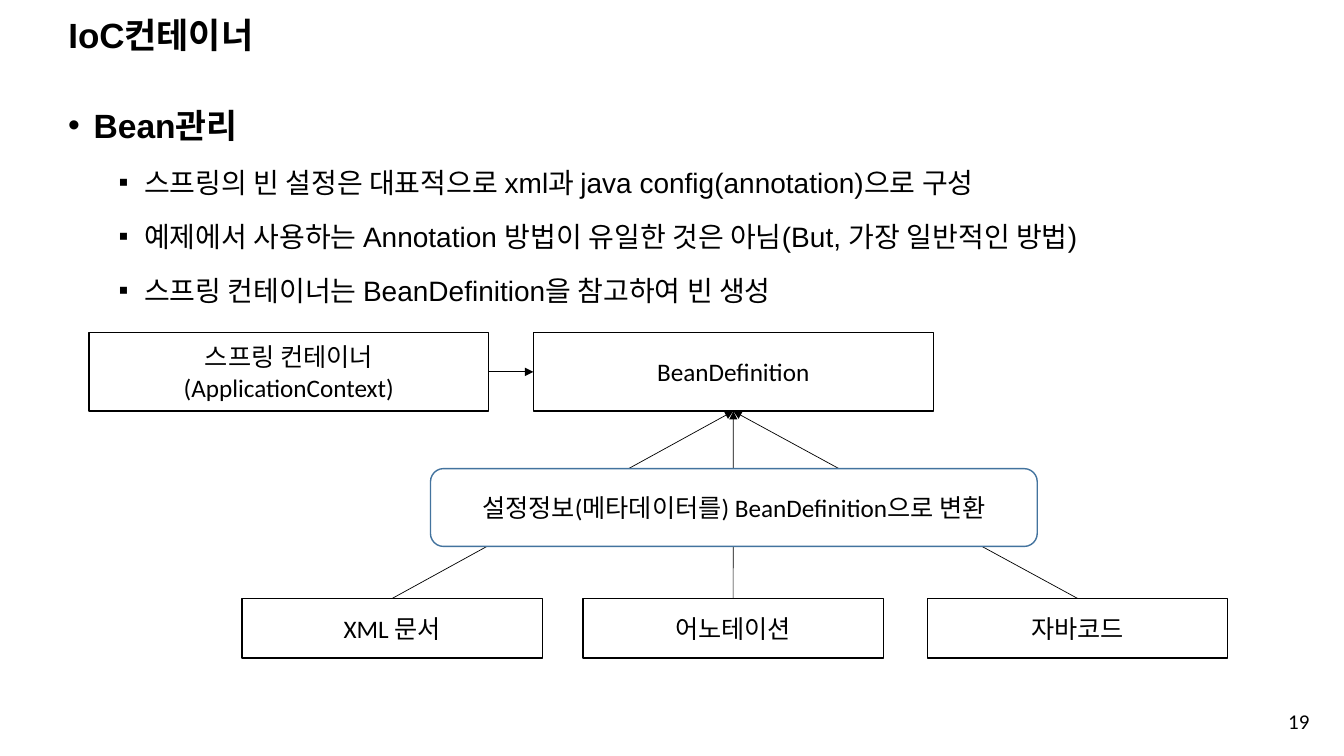
from lxml import etree
from pptx import Presentation
from pptx.dml.color import RGBColor
from pptx.enum.shapes import MSO_CONNECTOR, MSO_SHAPE
from pptx.enum.text import MSO_ANCHOR, PP_ALIGN
from pptx.oxml.ns import qn
from pptx.util import Cm, Pt

COLORS = {"ink": "000000", "paper": "FFFFFF", "accent": "43739E"}
HEADING_FONT, LABEL_FONT = "Arial", "Calibri"
RECT, ROUNDED = MSO_SHAPE.RECTANGLE, MSO_SHAPE.ROUNDED_RECTANGLE
STRAIGHT = MSO_CONNECTOR.STRAIGHT
MIDDLE = MSO_ANCHOR.MIDDLE
LEFT, CENTER, RIGHT = PP_ALIGN.LEFT, PP_ALIGN.CENTER, PP_ALIGN.RIGHT
TOP_SITE, LEFT_SITE, BOTTOM_SITE, RIGHT_SITE = range(4)


def color(name):
    """Return the named palette colour."""
    return RGBColor.from_string(COLORS[name])


def style_runs(paragraph, font, size, bold=False):
    """Format every run of a paragraph."""
    for run in paragraph.runs:
        run.font.name = font
        run.font.size = Pt(size)
        run.font.bold = bold
        run.font.color.rgb = color("ink")


def add_title(slide, box, text):
    """Place the slide title in its placeholder."""
    title = slide.shapes.title
    title.left, title.top, title.width, title.height = map(Cm, box)
    frame = title.text_frame
    frame.text = text
    frame.vertical_anchor = MIDDLE
    heading = frame.paragraphs[0]
    heading.alignment = LEFT
    heading.line_spacing = 0.9
    style_runs(heading, HEADING_FONT, 25, True)


def set_bullet(paragraph, symbol, margin):
    """Give a paragraph a hanging bullet."""
    properties = paragraph._p.get_or_add_pPr()
    properties.set("marL", str(Cm(margin)))
    properties.set("indent", str(-Cm(0.64)))
    etree.SubElement(properties, qn("a:buFont")).set("typeface", HEADING_FONT)
    etree.SubElement(properties, qn("a:buChar")).set("char", symbol)


def add_outline(slide, box, topic, points):
    """Place a bold topic with its bulleted points."""
    frame = slide.shapes.add_textbox(*map(Cm, box)).text_frame
    frame.word_wrap = True
    frame.text = "\n".join([topic, *points])
    for index, paragraph in enumerate(frame.paragraphs):
        is_point = index > 0
        set_bullet(paragraph, "▪" if is_point else "•", 1.91 if is_point else 0.64)
        paragraph.line_spacing = 1.4
        if is_point:
            paragraph.level = 1
            paragraph.space_before = Pt(5)
        style_runs(paragraph, HEADING_FONT, 20 if is_point else 24, not is_point)


def add_node(slide, box, text, kind=RECT, outline="ink"):
    """Draw one labelled diagram box."""
    node = slide.shapes.add_shape(kind, *map(Cm, box))
    node.shadow.inherit = False
    node.fill.solid()
    node.fill.fore_color.rgb = color("paper")
    node.line.color.rgb = color(outline)
    node.line.width = Pt(1)
    frame = node.text_frame
    frame.word_wrap = True
    frame.vertical_anchor = MIDDLE
    frame.text = text
    for paragraph in frame.paragraphs:
        paragraph.alignment = CENTER
        style_runs(paragraph, LABEL_FONT, 18)
    return node


def add_arrow(slide, start, start_site, end, end_site):
    """Connect two boxes with a thin arrow."""
    arrow = slide.shapes.add_connector(STRAIGHT, 0, 0, 0, 0)
    arrow.begin_connect(start, start_site)
    arrow.end_connect(end, end_site)
    arrow.line.color.rgb = color("ink")
    arrow.line.width = Pt(0.5)
    etree.SubElement(arrow.line._get_or_add_ln(), qn("a:tailEnd")).set("type", "triangle")
    etree.SubElement(arrow._element.spPr, qn("a:effectLst"))


def add_bean_diagram(slide, box):
    """Draw how configuration sources become bean definitions."""
    left, top, width, height = box
    source_width, source_height = 7.57, 1.5
    main_width, main_height = 10.08, 1.98
    source_top = top + height - source_height
    sources = [
        add_node(slide, (left + offset, source_top, source_width, source_height), text)
        for offset, text in (
            (3.86, "XML 문서"),
            (12.45, "어노테이션"),
            (width - source_width, "자바코드"),
        )
    ]
    definition = add_node(
        slide, (left + 11.2, top, main_width, main_height), "BeanDefinition")
    container = add_node(
        slide, (left, top, main_width, main_height),
        "스프링 컨테이너\n(ApplicationContext)")
    add_arrow(slide, container, RIGHT_SITE, definition, LEFT_SITE)
    for source in sources:
        add_arrow(slide, source, TOP_SITE, definition, BOTTOM_SITE)
    add_node(
        slide, (left + 8.61, top + 3.43, 15.29, 1.96),
        "설정정보(메타데이터를) BeanDefinition으로 변환", ROUNDED, "accent")


def add_page_number(slide, box, number):
    """Place the page number at the right of its box."""
    frame = slide.shapes.add_textbox(*map(Cm, box)).text_frame
    frame.word_wrap = True
    frame.vertical_anchor = MIDDLE
    frame.text = number
    frame.paragraphs[0].alignment = RIGHT
    style_runs(frame.paragraphs[0], LABEL_FONT, 15)


def main():
    """Build and save the slide."""
    deck = Presentation()
    deck.slide_width, deck.slide_height = Cm(33.87), Cm(19.05)
    slide = deck.slides.add_slide(deck.slide_layouts[5])
    add_title(slide, (1.47, 0.46, 29.21, 0.97), "IoC컨테이너")
    add_outline(slide, (1.47, 2.11, 31.47, 6), "Bean관리", [
        "스프링의 빈 설정은 대표적으로 xml과 java config(annotation)으로 구성",
        "예제에서 사용하는 Annotation 방법이 유일한 것은 아님(But, 가장 일반적인 방법)",
        "스프링 컨테이너는 BeanDefinition을 참고하여 빈 생성",
    ])
    add_bean_diagram(slide, (2.24, 8.38, 28.7, 8.2))
    add_page_number(slide, (25.63, 17.65, 7.62, 1.02), "19")
    deck.save("out.pptx")


if __name__ == "__main__":
    main()
